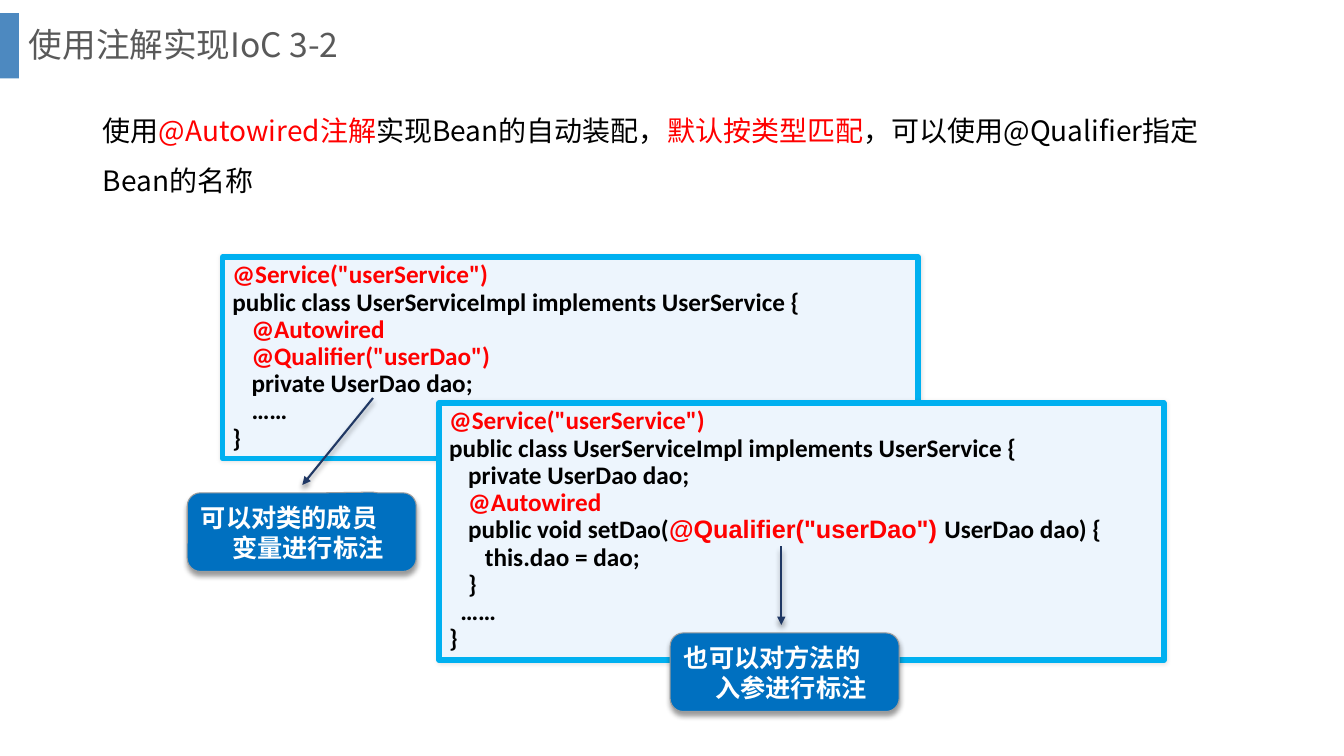
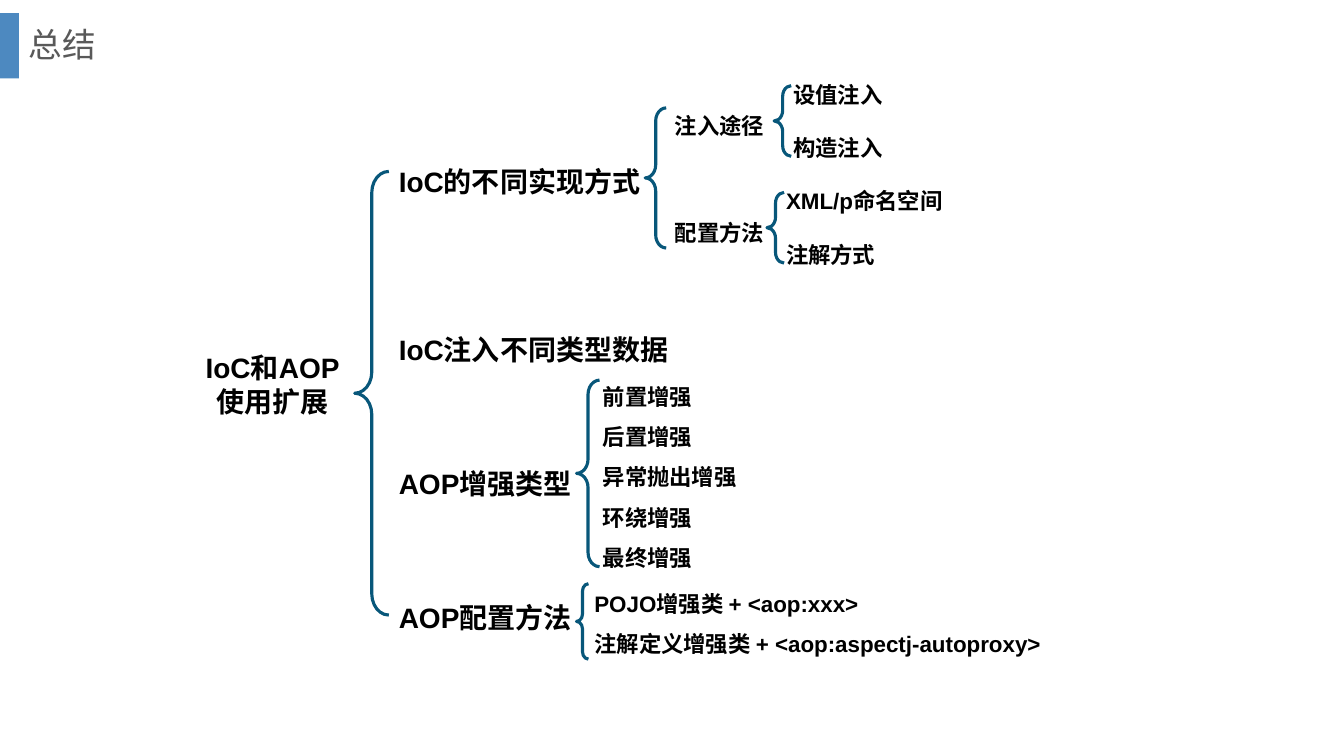
from typing import NamedTuple

from lxml import etree
from pptx import Presentation
from pptx.dml.color import RGBColor
from pptx.enum.shapes import MSO_CONNECTOR, MSO_SHAPE
from pptx.enum.text import MSO_ANCHOR, PP_ALIGN
from pptx.oxml.ns import qn
from pptx.util import Cm, Pt

BLACK = RGBColor(0x00, 0x00, 0x00)
WHITE = RGBColor(0xFF, 0xFF, 0xFF)
RED = RGBColor(0xFF, 0x00, 0x00)
TITLE_GREY = RGBColor(0x59, 0x59, 0x59)
BAND_BLUE = RGBColor(0x2E, 0x75, 0xB6)
CODE_FILL = RGBColor(0xED, 0xF5, 0xFD)
CODE_LINE = RGBColor(0x00, 0xB0, 0xF0)
CALLOUT_FILL = RGBColor(0x00, 0x70, 0xC0)
CALLOUT_LINE = RGBColor(0x9D, 0x9D, 0x9D)
ARROW_NAVY = RGBColor(0x20, 0x38, 0x64)
BRACE_TEAL = RGBColor(0x08, 0x57, 0x7A)

RECTANGLE = MSO_SHAPE.RECTANGLE
CALLOUT = MSO_SHAPE.ROUNDED_RECTANGULAR_CALLOUT
LEFT_BRACE = MSO_SHAPE.LEFT_BRACE
STRAIGHT = MSO_CONNECTOR.STRAIGHT
TOP, MIDDLE, BOTTOM = MSO_ANCHOR.TOP, MSO_ANCHOR.MIDDLE, MSO_ANCHOR.BOTTOM
LEFT, CENTER = PP_ALIGN.LEFT, PP_ALIGN.CENTER

HAN_FONT = "Noto Sans CJK SC"
ROW_HEIGHT = 1.2  # height of a text row, in font sizes

# alpha in percent, blur and distance in points
GLOW = {"alpha": 10, "blur": 3, "distance": 0}
DROP = {"alpha": 40, "blur": 4, "distance": 3}


class Span(NamedTuple):
    text: str
    color: RGBColor = BLACK
    font: str = ""


class Line(NamedTuple):
    """A paragraph: its spans, left margin and first-line indent (cm), space before (pt)."""
    spans: list
    margin: float = 0
    indent: float = 0
    before: float = 0


def apply(target, values):
    for name, value in values.items():
        setattr(target, name, value)


def add_child(parent, tag, **attributes):
    child = etree.SubElement(parent, qn(tag))
    for name, value in attributes.items():
        child.set(name, str(value))
    return child


def add_shadow(shape, alpha, blur, distance):
    properties = shape._element.spPr
    effects = properties.find(qn("a:effectLst"))
    if effects is None:
        effects = add_child(properties, "a:effectLst")
    shadow = add_child(effects, "a:outerShdw", blurRad=Pt(blur), dist=Pt(distance),
                       dir=90 * 60000, rotWithShape=0)
    color = add_child(shadow, "a:srgbClr", val=BLACK)
    add_child(color, "a:alpha", val=alpha * 1000)


class Deck:
    def __init__(self):
        self.file = Presentation()
        apply(self.file, {"slide_width": Cm(33.87), "slide_height": Cm(19.05)})
        self.page = None

    def new_page(self, title):
        self.page = self.file.slides.add_slide(self.file.slide_layouts[6])
        band = self.shape(RECTANGLE, (0, 0.33, 0.48, 1.65), fill=BAND_BLUE)
        color = band._element.spPr.find(qn("a:solidFill"))[0]
        add_child(color, "a:alpha", val=85000)
        self.text((0.48, 0.46, 32.16, 1.45), [Line([Span(title, TITLE_GREY)])],
                  size=24, font=HAN_FONT, bold=False, spacing=0.9, anchor=MIDDLE)

    def shape(self, kind, place, fill=None, line=None, width=0, adjust=()):
        shape = self.page.shapes.add_shape(kind, *map(Cm, place))
        shape.shadow.inherit = False
        for index, value in enumerate(adjust):
            shape.adjustments[index] = value
        if fill is None:
            shape.fill.background()
        else:
            shape.fill.solid()
            shape.fill.fore_color.rgb = fill
        if line is None:
            shape.line.fill.background()
        else:
            shape.line.color.rgb = line
            shape.line.width = Pt(width)
        return shape

    def fill_text(self, frame, lines, size, font="Arial", bold=True, spacing=1.0,
                  align=LEFT, anchor=TOP):
        apply(frame, {"word_wrap": True, "vertical_anchor": anchor})
        for index, line in enumerate(lines):
            para = frame.add_paragraph() if index else frame.paragraphs[0]
            apply(para, {"alignment": align, "line_spacing": spacing,
                         "space_before": Pt(line.before)})
            properties = para._p.get_or_add_pPr()
            properties.set("marL", str(Cm(line.margin)))
            properties.set("indent", str(Cm(line.indent)))
            for span in line.spans:
                run = para.add_run()
                run.text = span.text
                apply(run.font, {"size": Pt(size), "bold": bold, "name": span.font or font})
                run.font.color.rgb = span.color
                add_child(run._r.get_or_add_rPr(), "a:ea", typeface=HAN_FONT)

    def text(self, place, lines, **style):
        box = self.page.shapes.add_textbox(*map(Cm, place))
        self.fill_text(box.text_frame, lines, **style)

    def code(self, place, lines):
        box = self.shape(RECTANGLE, place, CODE_FILL, CODE_LINE, 4)
        add_shadow(box, **GLOW)
        self.fill_text(box.text_frame, lines, size=18, font="Calibri", spacing=0.9)

    def callout(self, corner, words, tip):
        box = self.shape(CALLOUT, (*corner, 5.77, 1.98), CALLOUT_FILL, CALLOUT_LINE, 0.75,
                         (*tip, 0.167))
        add_shadow(box, **DROP)
        self.fill_text(box.text_frame, [Line([Span(words, WHITE)], 0.79, -0.79, 3.6)],
                       size=18, anchor=BOTTOM)

    def arrow(self, start, end):
        arrow = self.page.shapes.add_connector(STRAIGHT, *map(Cm, (*start, *end)))
        arrow.line.color.rgb = ARROW_NAVY
        arrow.line.width = Pt(1.5)
        add_child(arrow.line._get_or_add_ln(), "a:tailEnd", type="triangle")
        add_shadow(arrow, **DROP)

    def brace(self, place):
        self.shape(LEFT_BRACE, place, line=BRACE_TEAL, width=2.25, adjust=(0.62, 0.5))

    def topics(self, place, labels, size=16, gaps=(), **style):
        """Put labels below each other; gaps counts the free rows between them."""
        rows = (0, *(gaps or [0] * (len(labels) - 1)))
        lines = [Line([Span(label)], before=round(row * size * ROW_HEIGHT, 1))
                 for label, row in zip(labels, rows)]
        self.text(place, lines, size=size, **style)


def add_autowired_page(deck):
    deck.new_page("使用注解实现IoC 3-2")
    summary = [
        Span("使用"), Span("@Autowired注解", RED), Span("实现Bean的自动装配，"),
        Span("默认按类型匹配", RED), Span("，可以使用@Qualifier指定Bean的名称"),
    ]
    deck.text((2.34, 2.31, 29.21, 3.2), [Line(summary, before=10)],
              size=20, font=HAN_FONT, bold=False, spacing=1.5)

    member, body = 0.48, 0.9
    opening = [
        Line([Span('@Service("userService")', RED)]),
        Line([Span("public class UserServiceImpl implements UserService {")]),
    ]
    field = Line([Span("private UserDao dao;")], member)
    autowired = Line([Span("@Autowired", RED)], member)
    closing = Line([Span("}")])
    deck.code((5.61, 6.48, 17.53, 5.08), [
        *opening,
        autowired,
        Line([Span('@Qualifier("userDao")', RED)], member),
        field,
        Line([Span("……")], member),
        closing,
    ])
    deck.code((11.07, 10.16, 18.26, 6.48), [
        *opening,
        field,
        autowired,
        Line([Span("public void setDao("), Span('@Qualifier("userDao") ', RED, "Arial"),
              Span("UserDao dao) {")], member),
        Line([Span("this.dao = dao;")], body),
        Line([Span("}")], member),
        Line([Span("……")], 0.28),
        closing,
    ])
    deck.callout((4.72, 12.42), "可以对类的成员变量进行标注", (0.31, -0.51))
    deck.callout((16.89, 15.95), "也可以对方法的入参进行标注", (-0.2, -0.5))
    deck.arrow((19.69, 13.77), (19.69, 15.75))
    deck.arrow((9.4, 10.03), (7.62, 12.22))


def add_summary_page(deck):
    deck.new_page("总结")
    deck.topics((4.62, 8.71, 4.5, 1.96), ["IoC和AOP使用扩展"], size=20, align=CENTER)
    deck.topics((9.8, 4.01, 13.92, 12.22),
                ["IoC的不同实现方式", "IoC注入不同类型数据", "AOP增强类型", "AOP配置方法"],
                size=20, gaps=(4, 3, 3))
    deck.topics((16.76, 2.69, 11.1, 3.68), ["注入途径", "配置方法"], gaps=(3,))
    deck.topics((19.74, 1.91, 3.53, 2.31), ["设值注入", "构造注入"], gaps=(1,))
    deck.topics((19.56, 4.6, 4.78, 2.31), ["XML/p命名空间", "注解方式"], gaps=(1,))
    deck.topics((14.94, 9.19, 11.58, 5.38),
                ["前置增强", "后置增强", "异常抛出增强", "环绕增强", "最终增强"], spacing=1.5)
    deck.topics((14.73, 14.4, 13.41, 2.31),
                ["POJO增强类 + <aop:xxx>", "注解定义增强类 + <aop:aspectj-autoproxy>"],
                spacing=1.5)
    for place in [
        (8.94, 4.32, 0.86, 11.18),
        (16.26, 2.72, 0.53, 3.53),
        (19.51, 2.16, 0.43, 1.78),
        (19.33, 4.85, 0.43, 1.78),
        (14.53, 9.58, 0.58, 4.7),
        (14.53, 14.71, 0.3, 1.9),
    ]:
        deck.brace(place)


def main():
    deck = Deck()
    add_autowired_page(deck)
    add_summary_page(deck)
    deck.file.save("out.pptx")


if __name__ == "__main__":
    main()
